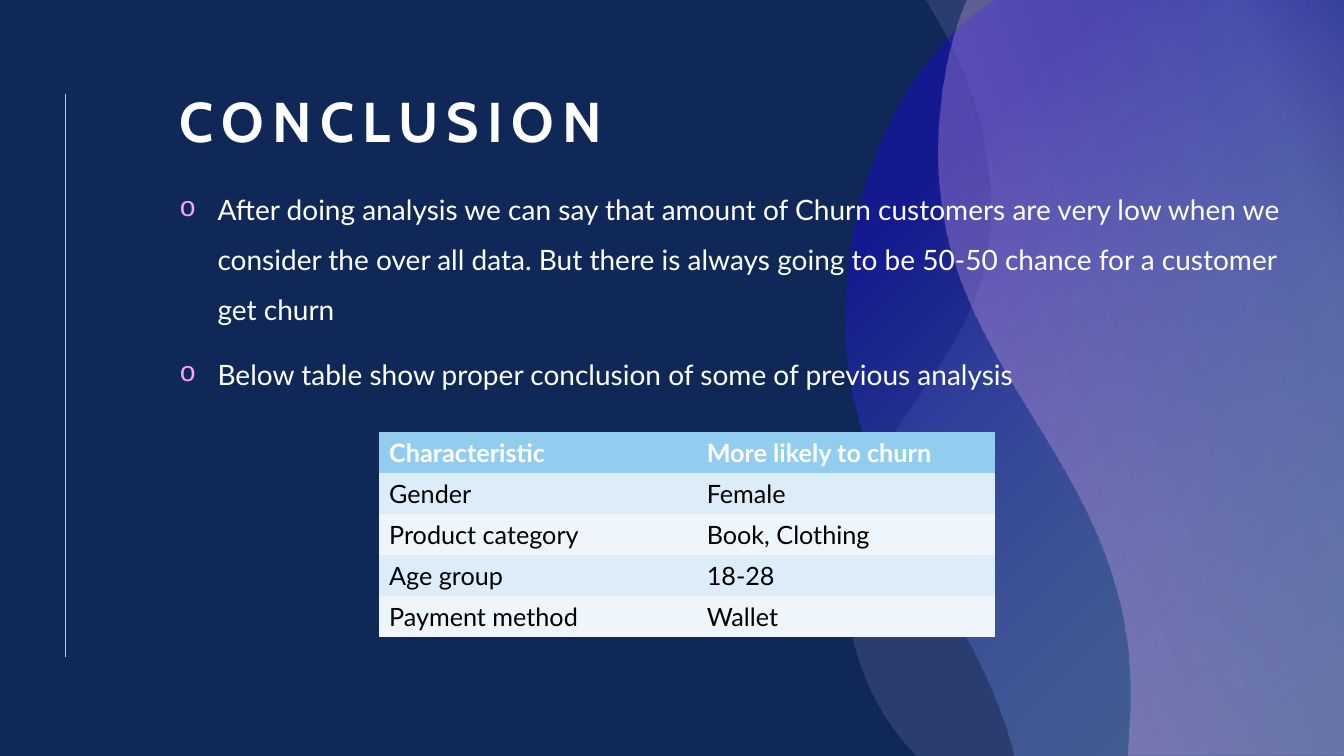
from lxml import etree
from pptx import Presentation
from pptx import util as u
from pptx.dml.color import RGBColor
from pptx.enum import shapes, text
from pptx.oxml import parse_xml
from pptx.oxml.ns import nsdecls, qn

WIDTH, HEIGHT = 13.33, 7.5
NO_STYLE = "{2D5ABB26-0587-4C30-8999-92F81FD0307C}"
RADIAL = '<a:path path="circle"><a:fillToRect l="100000" t="100000"/></a:path>'
LINEAR = '<a:lin ang="20400000" scaled="0"/>'
PALE = [(0, "C3B9F2", 14), (100, "C3B9F2", 14)]
BLUE = [(4, "92CDF0", 24), (79, "180DC2", 52)]
PINK = [(1, "F6A6F4", 38), (84, "C3B9F2", 20), (100, "F6A6F4", 3)]
WAVES = [
    (9.18, 9.09, [(9.08, 7.49), (8.7, 7.1), (8.38, 6.48), (8.39, 5.68),
                  (8.4, 4.27), (9.8, 3.66), (9.83, 2.15),
                  (9.85, 1.21), (9.5, 0.52), (9.2, 0.03)], PALE, LINEAR),
    (9.88, 10.06, [(10.01, 7.31), (9.56, 5.83), (8.4, 4.92), (8.39, 3.22),
                   (8.38, 1.65), (9.09, 0.55), (9.73, 0.1)], BLUE, RADIAL),
    (9.59, 11.18, [(11.2, 7.21), (11.21, 7.08), (11.21, 6.94), (11.21, 6.81),
                   (11.17, 4.58), (9.32, 3.68), (9.31, 1.59),
                   (9.3, 1.06), (9.38, 0.59), (9.52, 0.18)], PINK, LINEAR),
]
BULLETS = [
    "After doing analysis we can say that amount of Churn customers are very low when we "
    "consider the over all data. But there is always going to be 50-50 chance for a customer "
    "get churn",
    "Below table show proper conclusion of some of previous analysis",
]
ROWS = [
    ("Characteristic", "More likely to churn"),
    ("Gender", "Female"),
    ("Product category", "Book, Clothing"),
    ("Age group", "18-28"),
    ("Payment method", "Wallet"),
]


def rgb(value):
    """Return the colour of a hex string."""
    return RGBColor.from_string(value)


def box(*lengths):
    """Return lengths in inches."""
    return [u.Inches(v) for v in lengths]


def set_font(p, name, size, color, bold=False):
    """Format the font of a paragraph."""
    f = p.font
    f.name, f.size, f.bold = name, u.Pt(size), bold
    f.color.rgb = rgb(color)


def curve_edge(geometry, first, count):
    """Turn groups of three straight segments into cubic curves."""
    lines = list(geometry.iter(qn("a:lnTo")))[first:first + count]
    for i in range(0, count, 3):
        curve = etree.Element(qn("a:cubicBezTo"))
        lines[i].addprevious(curve)
        for line in lines[i:i + 3]:
            curve.append(line[0])
            line.getparent().remove(line)


def add_wave(s, top, bottom, edge, stops, direction):
    """Add a translucent wave that fills the right side of the slide."""
    corners = [(WIDTH, 0), (WIDTH, HEIGHT), (bottom, HEIGHT), edge[0]]
    builder = s.shapes.build_freeform(u.Inches(top), 0)
    builder.add_line_segments([box(*pt) for pt in corners + edge[1:]], close=True)
    sp = builder.convert_to_shape()
    sp.shadow.inherit = False
    sp.line.fill.background()
    geometry = sp._element.spPr.find(qn("a:custGeom"))
    curve_edge(geometry, len(corners), len(edge) - 1)
    gs = "".join(f'<a:gs pos="{pos * 1000}"><a:srgbClr val="{color}">'
                 f'<a:alpha val="{alpha * 1000}"/></a:srgbClr></a:gs>'
                 for pos, color, alpha in stops)
    geometry.addnext(parse_xml(f'<a:gradFill {nsdecls("a")} rotWithShape="1">'
                               f'<a:gsLst>{gs}</a:gsLst>{direction}</a:gradFill>'))


def add_rule(s):
    """Add the thin vertical line at the left."""
    line = s.shapes.add_connector(shapes.MSO_CONNECTOR.STRAIGHT, *box(0.65, 0.93, 0.65, 6.52))
    line.line.color.rgb = rgb("F6A6F4")
    line.line.width = u.Pt(0.5)
    etree.SubElement(line._element.spPr, qn("a:effectLst"))


def set_title(s, title):
    """Place and format the title."""
    sp = s.shapes.title
    sp.left, sp.top, sp.width, sp.height = box(1.68, 0.41, 9.71, 1.17)
    tf = sp.text_frame
    tf.text = title
    tf.vertical_anchor = text.MSO_ANCHOR.BOTTOM
    p = tf.paragraphs[0]
    p.alignment, p.line_spacing = text.PP_ALIGN.LEFT, 0.9
    set_font(p, "Cabin", 40, "FFFFFF", True)
    p.runs[0].font._element.set("spc", "600")


def add_bullets(s, items):
    """Add the bulleted text."""
    tf = s.shapes.add_textbox(*box(1.68, 1.69, 11.14, 5.48)).text_frame
    tf.word_wrap = True
    tf.text = "\n".join(items)
    for p in tf.paragraphs:
        p.line_spacing, p.space_before = 1.5, u.Pt(10)
        set_font(p, "Lato", 20, "FFFFFF")
        pPr = p._p.get_or_add_pPr()
        pPr.set("marL", str(u.Inches(0.38)))
        pPr.set("indent", str(u.Inches(-0.38)))
        bullet = (f'<a:buClr {nsdecls("a")}><a:srgbClr val="F6A6F4"/></a:buClr>',
                  f'<a:buFont {nsdecls("a")} typeface="Courier New"/>',
                  f'<a:buChar {nsdecls("a")} char="o"/>')
        for xml in bullet:
            pPr.find(qn("a:defRPr")).addprevious(parse_xml(xml))


def add_churn_table(s, rows):
    """Add the banded table of churn traits."""
    frame = s.shapes.add_table(len(rows), 2, *box(3.76, 4.29, 6.11, 2.03))
    table = frame.table
    table._tbl.tblPr.find(qn("a:tableStyleId")).text = NO_STYLE
    for column, width in zip(table.columns, box(3.15, 2.96)):
        column.width = width
    for i, row in enumerate(rows):
        fill = "92CDF0" if i == 0 else ("EEF6FC", "DCEDF9")[i % 2]
        for j, value in enumerate(row):
            cell = table.cell(i, j)
            cell.text = value
            cell.vertical_anchor = text.MSO_ANCHOR.MIDDLE
            cell.fill.solid()
            cell.fill.fore_color.rgb = rgb(fill)
            set_font(cell.text_frame.paragraphs[0], "Lato", 18,
                     "000000" if i else "FFFFFF", i == 0)


def main():
    """Build and save the slide."""
    prs = Presentation()
    prs.slide_width, prs.slide_height = box(WIDTH, HEIGHT)
    s = prs.slides.add_slide(prs.slide_layouts[5])
    s.background.fill.solid()
    s.background.fill.fore_color.rgb = rgb("102857")
    add_rule(s)
    for wave in WAVES:
        add_wave(s, *wave)
    set_title(s, "CONCLUSION")
    add_bullets(s, BULLETS)
    add_churn_table(s, ROWS)
    prs.save("out.pptx")


if __name__ == "__main__":
    main()
